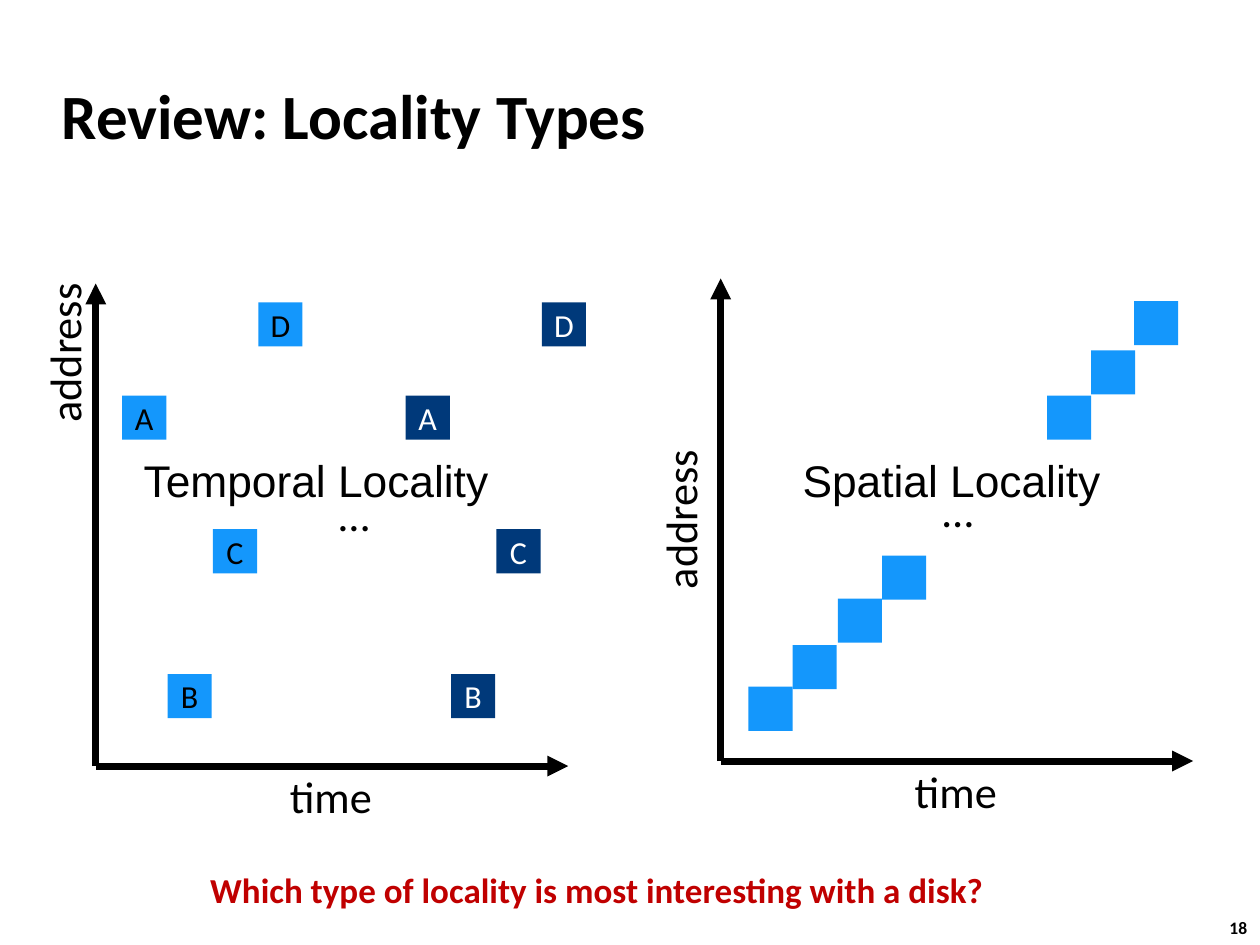
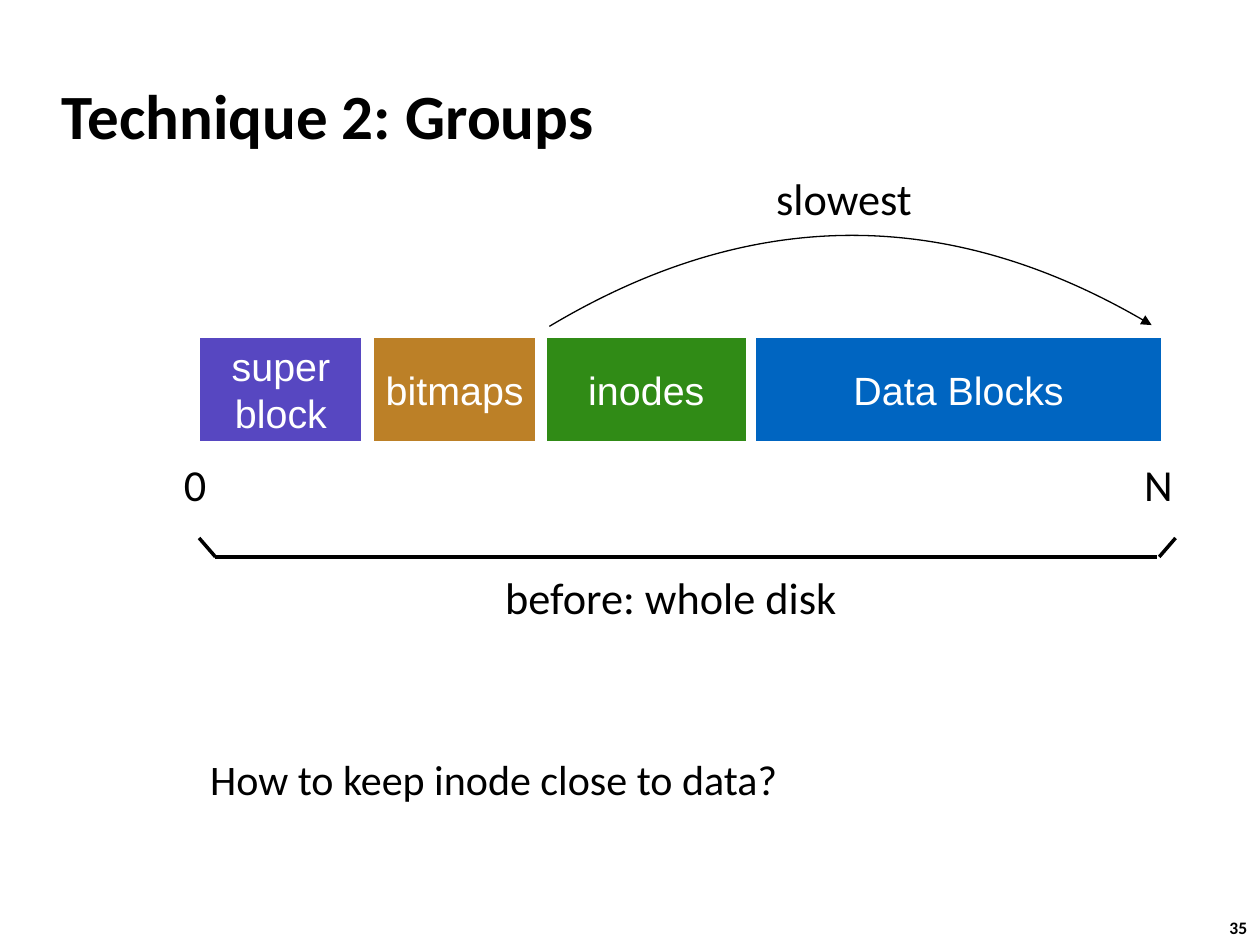
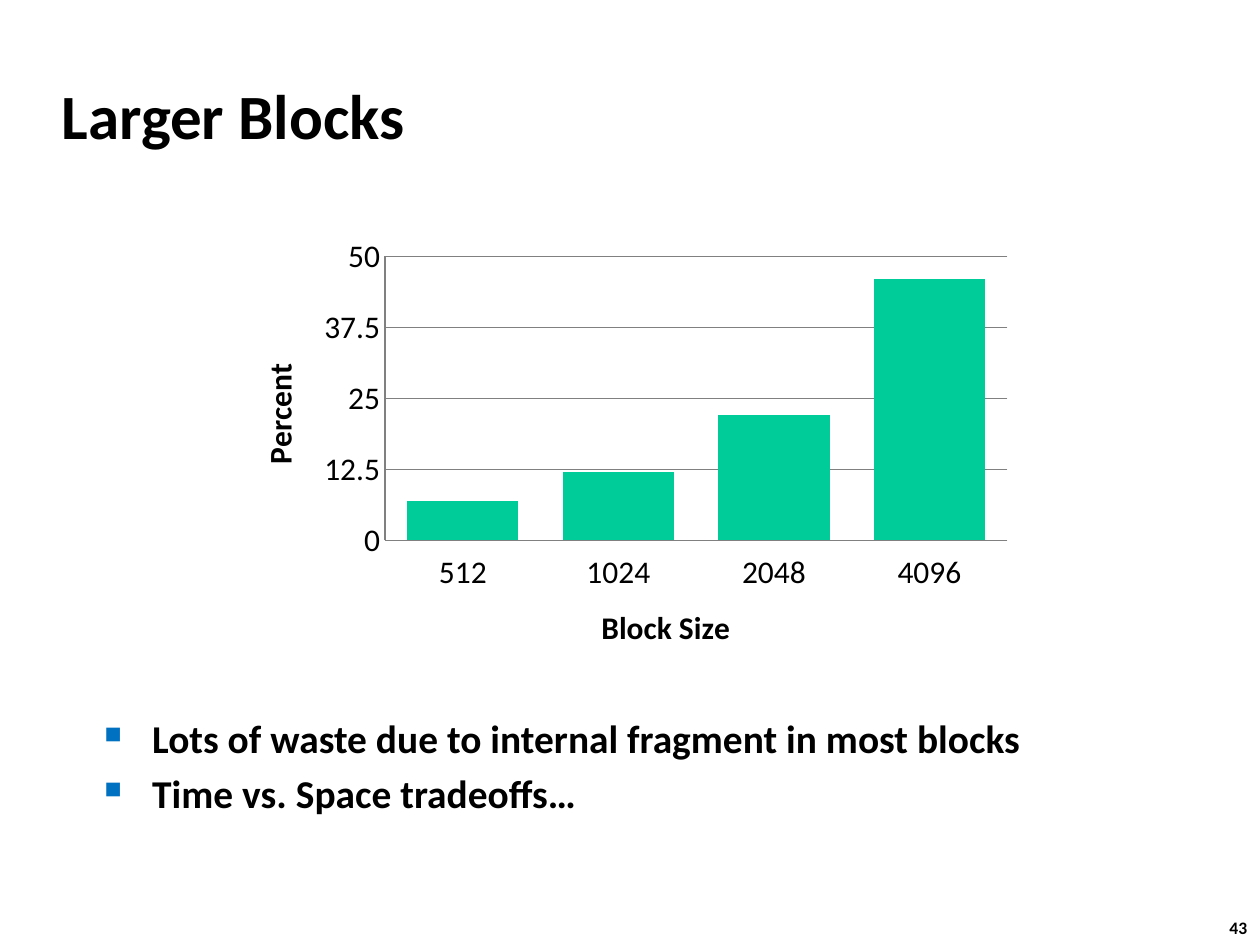
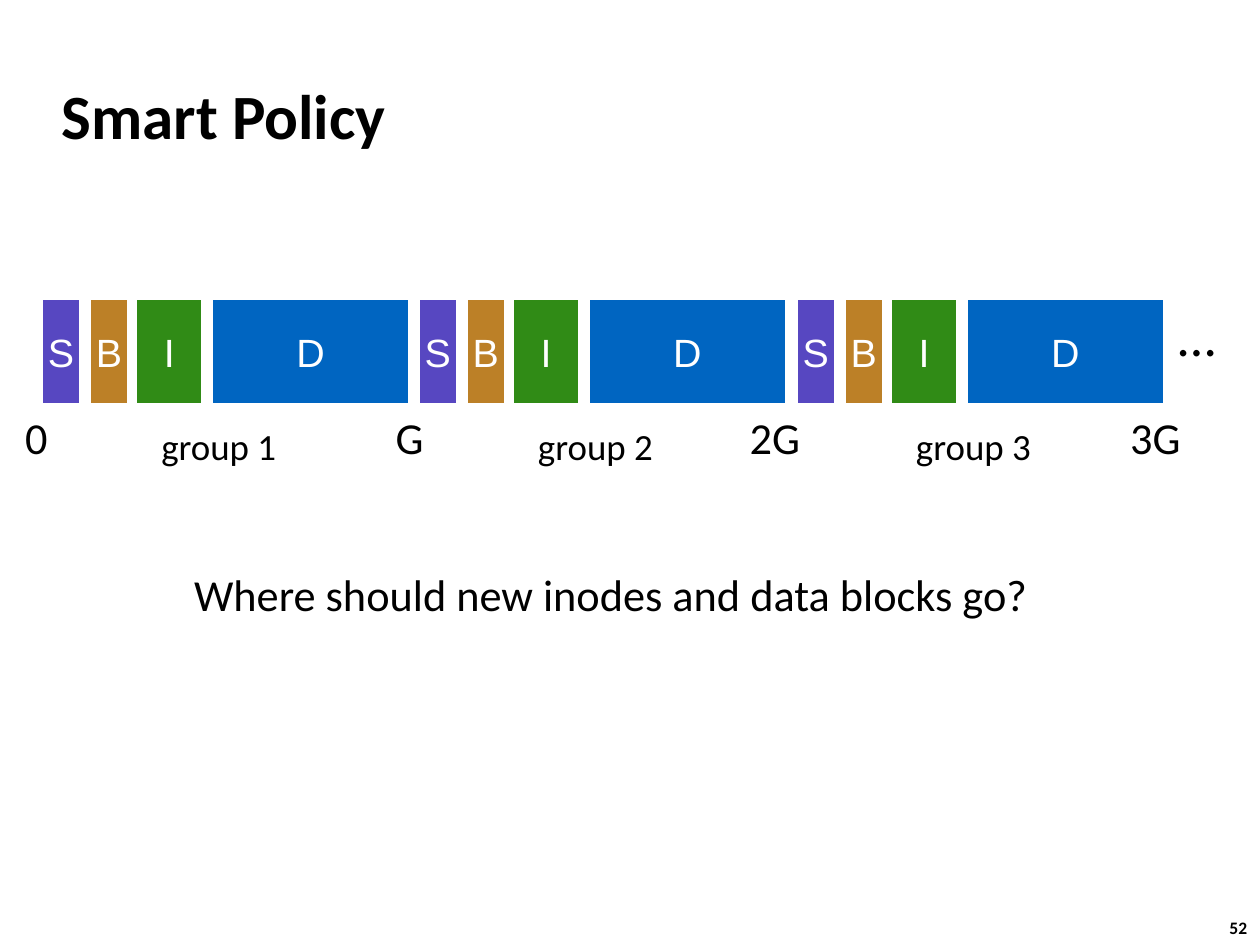
from dataclasses import dataclass
from typing import Any, Optional

from lxml.etree import SubElement
from pptx import Presentation
from pptx.chart.data import CategoryChartData
from pptx.dml.color import RGBColor
from pptx.enum.chart import XL_CHART_TYPE, XL_TICK_LABEL_POSITION, XL_TICK_MARK
from pptx.enum.shapes import MSO_CONNECTOR, MSO_SHAPE
from pptx.enum.text import MSO_ANCHOR, MSO_AUTO_SIZE, PP_ALIGN
from pptx.oxml import parse_xml
from pptx.oxml.ns import nsdecls, qn
from pptx.util import Inches, Pt

BLACK = RGBColor(0x00, 0x00, 0x00)
WHITE = RGBColor(0xFF, 0xFF, 0xFF)
GRAY = RGBColor(0x80, 0x80, 0x80)
RED = RGBColor(0xC0, 0x00, 0x00)
SKY = RGBColor(0x14, 0x97, 0xFC)
NAVY = RGBColor(0x00, 0x39, 0x7A)
BLUE = RGBColor(0x00, 0x65, 0xC1)
PURPLE = RGBColor(0x57, 0x47, 0xC1)
GREEN = RGBColor(0x30, 0x8B, 0x16)
BROWN = RGBColor(0xBC, 0x80, 0x27)
TEAL = RGBColor(0x00, 0xCC, 0x99)
BULLET = RGBColor(0x00, 0x70, 0xC0)

SANS = "Calibri"
ARIAL = "Arial"
SIDE = 0.35


@dataclass(frozen=True)
class Label:
    text: str
    x: float
    y: float
    w: float
    h: float = 0.5
    size: float = 25.3
    face: str = SANS
    color: RGBColor = BLACK
    bold: bool = False
    turn: float = 0
    tight: bool = True
    wrap: bool = False


@dataclass(frozen=True)
class Block:
    text: str
    x: float
    y: float
    w: float
    h: float
    fill: RGBColor
    edge: Optional[RGBColor] = None
    size: float = 22.5
    face: str = ARIAL
    ink: RGBColor = WHITE


@dataclass(frozen=True)
class Line:
    x1: float
    y1: float
    x2: float
    y2: float
    width: float
    arrow: bool = False


def put(target: Any, values: dict[str, Any]) -> None:
    for name, value in values.items():
        setattr(target, name, value)


def style(font: Any, size: float, face: str = SANS, color: RGBColor = BLACK, bold: bool = False) -> None:
    put(font, {"size": Pt(size), "name": face, "bold": bold})
    font.color.rgb = color


def pad(frame: Any, side: float, edge: float) -> None:
    put(frame, {"margin_left": Inches(side), "margin_right": Inches(side),
                "margin_top": Inches(edge), "margin_bottom": Inches(edge)})


def hang(para: Any, depth: float) -> Any:
    props = para._p.get_or_add_pPr()
    props.set("marL", str(Inches(depth)))
    props.set("indent", str(-Inches(depth)))
    return props


def write(slide: Any, label: Label) -> None:
    box = slide.shapes.add_textbox(Inches(label.x), Inches(label.y), Inches(label.w), Inches(label.h))
    box.rotation = label.turn
    frame = box.text_frame
    put(frame, {"word_wrap": label.wrap, "auto_size": MSO_AUTO_SIZE.SHAPE_TO_FIT_TEXT})
    if label.tight:
        pad(frame, 0.04, 0.04)
        frame.vertical_anchor = MSO_ANCHOR.MIDDLE
    para = frame.paragraphs[0]
    para.text = label.text
    style(para.runs[0].font, label.size, label.face, label.color, label.bold)


def draw(shapes: Any, block: Block) -> None:
    rect = shapes.add_shape(MSO_SHAPE.RECTANGLE, Inches(block.x), Inches(block.y),
                            Inches(block.w), Inches(block.h))
    rect.shadow.inherit = False
    rect.fill.solid()
    rect.fill.fore_color.rgb = block.fill
    if block.edge is None:
        rect.line.fill.background()
    else:
        rect.line.color.rgb = block.edge
        rect.line.width = Pt(3)
    if block.text:
        frame = rect.text_frame
        put(frame, {"word_wrap": True, "vertical_anchor": MSO_ANCHOR.MIDDLE})
        pad(frame, 0, 0)
        para = frame.paragraphs[0]
        put(para, {"text": block.text, "alignment": PP_ALIGN.CENTER})
        style(para.runs[0].font, block.size, block.face, block.ink)


def ink(shape: Any, width: float, arrow: bool) -> None:
    shape.line.color.rgb = BLACK
    shape.line.width = Pt(width)
    if arrow:
        SubElement(shape.line._get_or_add_ln(), qn("a:tailEnd"), type="triangle")


def rule(slide: Any, line: Line) -> None:
    link = slide.shapes.add_connector(MSO_CONNECTOR.STRAIGHT, Inches(line.x1), Inches(line.y1),
                                      Inches(line.x2), Inches(line.y2))
    ink(link, line.width, line.arrow)
    SubElement(link._element.spPr, qn("a:effectLst"))


def arc(slide: Any, start: tuple[float, float], top: tuple[float, float],
        end: tuple[float, float], bends: list[tuple[float, float]]) -> None:
    build = slide.shapes.build_freeform(Inches(start[0]), Inches(start[1]))
    build.add_line_segments([(Inches(x), Inches(y)) for x, y in (top, end)], close=False)
    shape = build.convert_to_shape()
    shape.shadow.inherit = False
    shape.fill.background()
    ink(shape, 0.75, True)
    track = next(shape._element.iter(qn("a:path")))
    for part in track.findall(qn("a:lnTo")):
        track.remove(part)
    curve = SubElement(track, qn("a:cubicBezTo"))
    for x, y in (*bends, end):
        SubElement(curve, qn("a:pt"), x=str(Inches(x) - shape.left), y=str(Inches(y) - shape.top))


def begin(deck: Any, title: str, page: str) -> Any:
    slide = deck.slides.add_slide(deck.slide_layouts[5])
    head = slide.shapes.title
    put(head, {"left": Inches(0.39), "top": Inches(0.49), "width": Inches(8.3), "height": Inches(0.83)})
    frame = head.text_frame
    put(frame, {"word_wrap": True, "auto_size": MSO_AUTO_SIZE.NONE, "vertical_anchor": MSO_ANCHOR.MIDDLE})
    para = frame.paragraphs[0]
    put(para, {"text": title, "alignment": PP_ALIGN.LEFT})
    hang(para, 0.13)
    style(para.runs[0].font, 36, bold=True)
    write(slide, Label(page, 9.66, 7.23, 0.37, 0.27, 10, bold=True, tight=False))
    return slide


def axes(slide: Any, x: float, y: float) -> None:
    rule(slide, Line(x, y, x + 3.75, y, 4, True))
    rule(slide, Line(x, y, x, y - 3.83, 4, True))
    write(slide, Label("time", x + 1.5, y - 0.01, 0.74))


def types(deck: Any) -> None:
    slide = begin(deck, "Review: Locality Types", "18")
    axes(slide, 5.72, 6.04)
    axes(slide, 0.76, 6.08)
    for x, y in ((5.94, 5.45), (6.29, 5.12), (6.65, 4.75), (7, 4.41), (8.31, 3.14), (8.66, 2.78), (9, 2.39)):
        draw(slide.shapes, Block("", x, y, SIDE, SIDE, SKY))
    for left, fill, color in ((0.97, SKY, BLACK), (3.22, NAVY, WHITE)):
        for i, (name, y) in enumerate((("A", 3.14), ("B", 5.35), ("C", 4.2), ("D", 2.4))):
            draw(slide.shapes, Block(name, left + 0.36 * i, y, SIDE, SIDE, fill,
                                     size=18.3, face=SANS, ink=color))
    for label in (
        Label("address", 4.8, 3.87, 1.19, turn=270),
        Label("address", -0.09, 2.55, 1.19, turn=270),
        Label("…", 7.44, 3.8, 0.32),
        Label("…", 2.65, 3.83, 0.32),
        Label("Spatial Locality", 6.33, 3.56, 2.47, face=ARIAL),
        Label("Temporal Locality", 1.1, 3.56, 2.84, face=ARIAL),
        Label("Which type of locality is most interesting with a disk?", 1.57, 6.84, 7.64, 0.44,
              20, color=RED, bold=True, tight=False, wrap=True),
    ):
        write(slide, label)


def groups(deck: Any) -> None:
    slide = begin(deck, "Technique 2: Groups", "35")
    for text, x, w, fill in (("super block", 1.57, 1.32, PURPLE), ("bitmaps", 2.95, 1.32, BROWN),
                             ("inodes", 4.32, 1.62, GREEN), ("Data Blocks", 5.98, 3.26, BLUE)):
        draw(slide.shapes, Block(text, x, 2.66, w, 0.86, fill, WHITE))
    for x1, x2, y2 in ((1.71, 9.18, 4.42), (1.71, 1.58, 4.27), (9.2, 9.33, 4.27)):
        rule(slide, Line(x1, 4.42, x2, y2, 2))
    arc(slide, (4.36, 2.59), (6.75, 1.87), (9.14, 2.58), [(5.95, 1.64), (7.55, 1.63)])
    for label in (
        Label("0", 1.42, 3.59, 0.26),
        Label("N", 9.04, 3.59, 0.31),
        Label("before: whole disk", 3.97, 4.49, 2.73),
        Label("slowest", 6.12, 1.32, 1.17),
        Label("How to keep inode close to data?", 1.57, 5.93, 6.21, size=24, tight=False, wrap=True),
    ):
        write(slide, label)


def graph(slide: Any) -> None:
    data = CategoryChartData()
    data.categories = ["512", "1024", "2048", "4096"]
    data.add_series("Region 1", (7, 12, 22, 46))
    chart = slide.shapes.add_chart(XL_CHART_TYPE.COLUMN_CLUSTERED, Inches(1.86), Inches(1.71),
                                   Inches(6.14), Inches(3.53), data).chart
    put(chart, {"has_title": False, "has_legend": False})
    style(chart.font, 18)
    plot = chart.plots[0]
    put(plot, {"gap_width": 40, "overlap": -10, "vary_by_categories": False})
    fill = plot.series[0].format.fill
    fill.solid()
    fill.fore_color.rgb = TEAL
    for axis, name in ((chart.category_axis, "Block Size"), (chart.value_axis, "Percent")):
        put(axis, {"major_tick_mark": XL_TICK_MARK.NONE, "minor_tick_mark": XL_TICK_MARK.NONE})
        put(axis.tick_labels, {"number_format": "General", "number_format_is_linked": False})
        axis.format.line.color.rgb = GRAY
        axis.format.line.width = Pt(0.75)
        para = axis.axis_title.text_frame.paragraphs[0]
        para.text = name
        style(para.runs[0].font, 18, bold=True)
    chart.category_axis.tick_label_position = XL_TICK_LABEL_POSITION.LOW
    put(chart.value_axis, {"minimum_scale": 0, "maximum_scale": 50, "major_unit": 12.5,
                           "has_major_gridlines": True})
    grid = chart.value_axis.major_gridlines.format.line
    grid.color.rgb = GRAY
    grid.width = Pt(0.75)
    area = next(chart.element.iter(qn("c:plotArea")))
    for old in area.findall(qn("c:layout")):
        area.remove(old)
    rows = (("layoutTarget", "inner"), ("xMode", "edge"), ("yMode", "edge"),
            ("x", 0.195), ("y", 0.092), ("w", 0.805), ("h", 0.639))
    body = "".join(f'<c:{tag} val="{value}"/>' for tag, value in rows)
    area.insert(0, parse_xml(f'<c:layout {nsdecls("c")}><c:manualLayout>{body}</c:manualLayout></c:layout>'))


def larger(deck: Any) -> None:
    slide = begin(deck, "Larger Blocks", "43")
    graph(slide)
    box = slide.shapes.add_textbox(Inches(0.73), Inches(5.62), Inches(8.54), Inches(1.09))
    frame = box.text_frame
    frame.word_wrap = True
    for i, text in enumerate(("Lots of waste due to internal fragment in most blocks",
                              "Time vs. Space tradeoffs…")):
        para = frame.add_paragraph() if i else frame.paragraphs[0]
        props = hang(para, 0.38)
        tint = SubElement(props, qn("a:buClr"))
        SubElement(tint, qn("a:srgbClr"), val=str(BULLET))
        SubElement(props, qn("a:buSzPct"), val="60000")
        SubElement(props, qn("a:buChar"), char="■")
        if i:
            para.space_before = Pt(4.5)
        run = para.add_run()
        run.text = text
        style(run.font, 22.5, bold=True)


def policy(deck: Any) -> None:
    slide = begin(deck, "Smart Policy", "52")
    for i, shift in enumerate((0, 2.99, 5.99), 1):
        group = slide.shapes.add_group_shape()
        for text, x, w, fill in (("S", 0.32, 0.33, PURPLE), ("B", 0.7, 0.33, BROWN),
                                 ("I", 1.07, 0.55, GREEN), ("D", 1.67, 1.59, BLUE)):
            draw(group.shapes, Block(text, x + shift, 2.36, w, 0.86, fill, WHITE))
        write(slide, Label(f"group {i}", 1.24 + shift, 3.32, 1, 0.43, 21.1))
    for text, x, w in (("0", 0.16, 0.26), ("G", 3.1, 0.31), ("2G", 5.91, 0.52), ("3G", 8.93, 0.52)):
        write(slide, Label(text, x, 3.22, w))
    write(slide, Label("…", 9.31, 2.36, 0.38, 0.6, 30.9))
    write(slide, Label("Where should new inodes and data blocks go?", 1.5, 4.46, 6.75))


def main() -> None:
    deck = Presentation()
    put(deck, {"slide_width": Inches(10), "slide_height": Inches(7.5)})
    for make in (types, groups, larger, policy):
        make(deck)
    deck.save("out.pptx")


if __name__ == "__main__":
    main()
